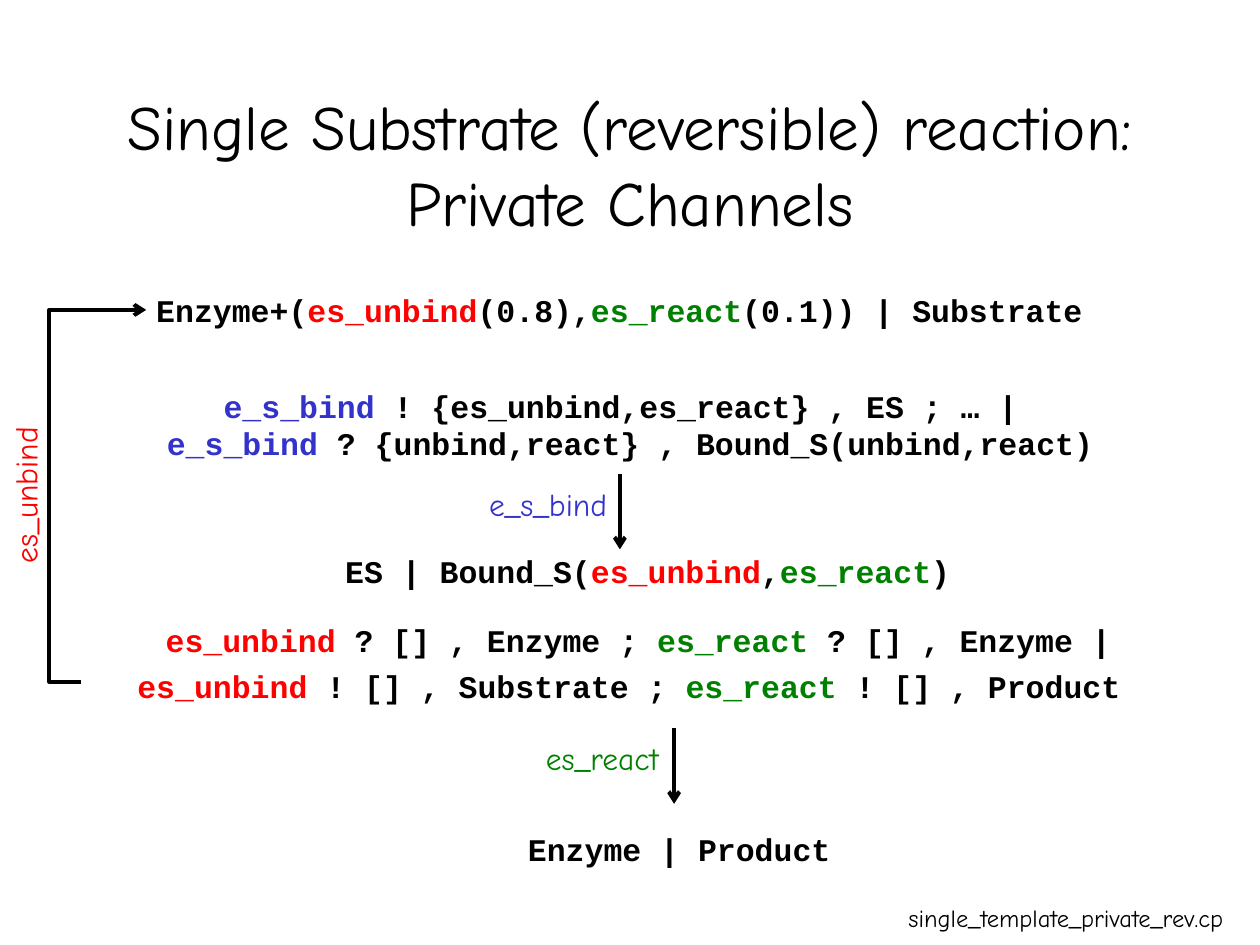
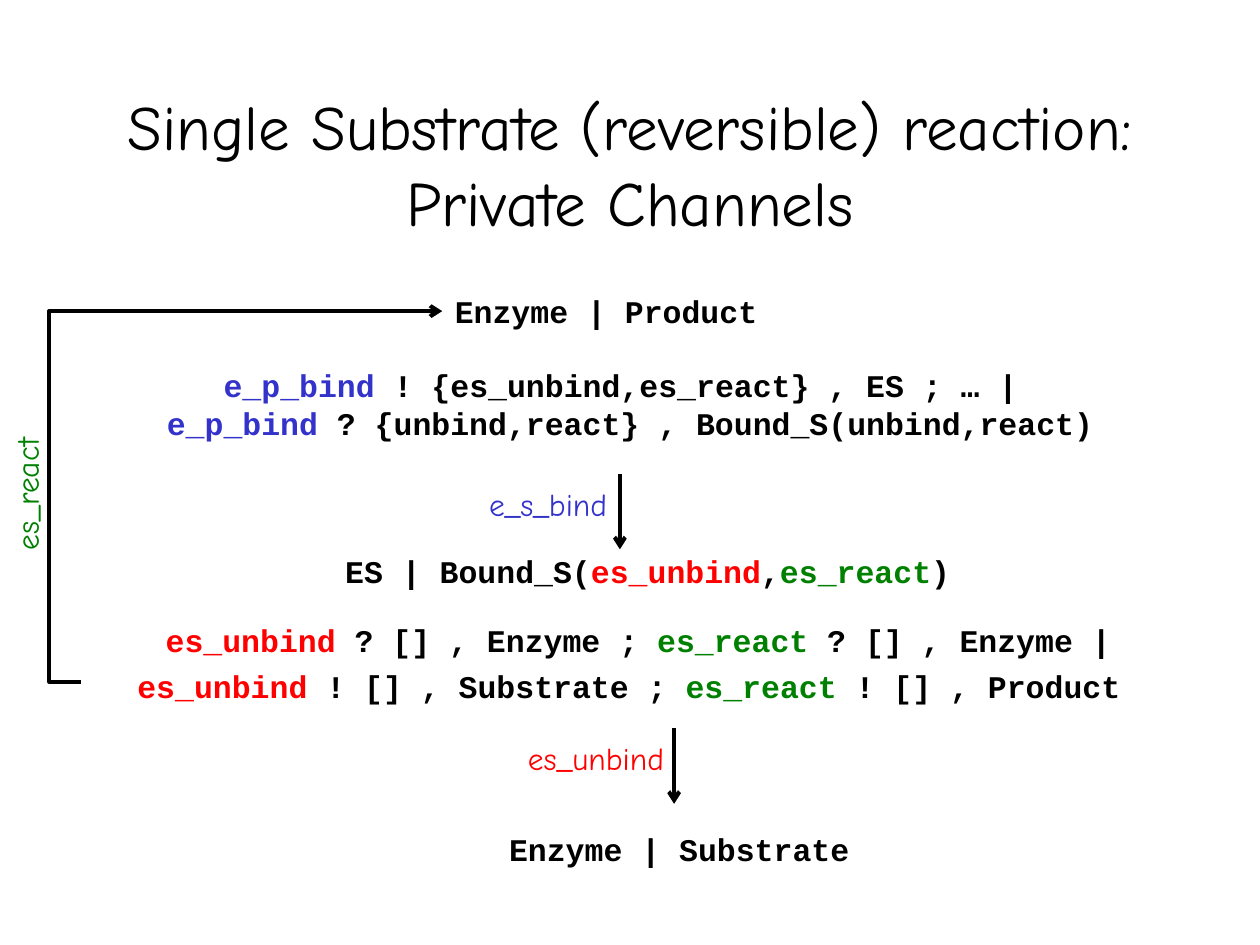
from lxml.etree import SubElement
from pptx import Presentation
from pptx.dml.color import RGBColor
from pptx.enum.shapes import MSO_CONNECTOR
from pptx.enum.text import MSO_ANCHOR, PP_ALIGN
from pptx.oxml.ns import qn
from pptx.util import Inches, Pt

BLACK = RGBColor(0x00, 0x00, 0x00)
RED = RGBColor(0xFF, 0x00, 0x00)
GREEN = RGBColor(0x00, 0x80, 0x00)
BLUE = RGBColor(0x33, 0x33, 0xCC)

HAND = "Comic Neue"
CODE = "Courier New"
TITLE = "Single Substrate (reversible) reaction: Private Channels"

UNBIND = ("es_unbind", RED)
REACT = ("es_react", GREEN)
BREAK = ("\n", BLACK)


def add_text(s, box, *paragraphs, font=HAND, size=18, wrap=False, gap=0):
    """Centred text; each paragraph is a list of (text, colour) runs."""
    shape = s.shapes.add_textbox(*map(Inches, box))
    tf = shape.text_frame
    tf.word_wrap = wrap
    for i, runs in enumerate(paragraphs):
        p = tf.paragraphs[0] if i == 0 else tf.add_paragraph()
        p.alignment = PP_ALIGN.CENTER
        if i:
            p.space_before = Pt(gap)
        for run in runs:
            if run == BREAK:
                p.add_line_break()
                continue
            r = p.add_run()
            r.text, r.font.color.rgb = run
            r.font.name = font
            r.font.size = Pt(size)
            r.font.bold = font == CODE
    return shape


def add_code(s, box, *paragraphs, **options):
    return add_text(s, box, *paragraphs, font=CODE, **options)


def add_arrow(s, kind, x1, y1, x2, y2):
    arrow = s.shapes.add_connector(kind, *map(Inches, (x1, y1, x2, y2)))
    arrow.line.color.rgb = BLACK
    arrow.line.width = Pt(2.25)
    SubElement(arrow.line._get_or_add_ln(), qn("a:tailEnd"), type="arrow")
    SubElement(arrow._element.spPr, qn("a:effectLst"))
    return arrow


def add_title(s):
    title = add_text(s, (0.75, 0.67, 8.5, 1.25), [(TITLE, BLACK)],
                     size=36, wrap=True)
    title.text_frame.vertical_anchor = MSO_ANCHOR.MIDDLE


def add_step(s, x, y, label, label_left, label_width):
    """Downward arrow with the channel name on its left."""
    add_arrow(s, MSO_CONNECTOR.STRAIGHT, x, y, x, y + 0.6)
    add_text(s, (label_left, y + 0.04, label_width, 0.4), [label])


def add_return(s, x, top, label, label_box):
    """Bent arrow from the bound state back up to the first state."""
    left, bottom, reach = 0.64, 5.41, 0.25
    arrow = add_arrow(s, MSO_CONNECTOR.ELBOW, left, bottom, x, top)
    guides = arrow._element.spPr.find(qn("a:prstGeom")).get_or_add_avLst()
    bend = round(-reach / (x - left) * 100000)
    SubElement(guides, qn("a:gd"), name="adj1", fmla=f"val {bend}")
    add_text(s, label_box, [label]).rotation = 270


def add_binding(s, top, channel):
    bind = (channel, BLUE)
    add_code(s, (0, top, 10, 0.7),
             [bind, (" ! {es_unbind,es_react} , ES ; … | ", BLACK), BREAK,
              bind, (" ? {unbind,react} , Bound_S(unbind,react)", BLACK)],
             wrap=True)


def add_bound_state(s):
    add_step(s, 4.92, 3.76, ("e_s_bind", BLUE), 3.78, 1.14)
    add_code(s, (0.14, 4.33, 10, 0.4),
             [("ES | Bound_S(", BLACK), UNBIND, (",", BLACK), REACT,
              (")", BLACK)], wrap=True)
    add_code(s, (0.64, 4.88, 8.85, 0.8),
             [UNBIND, (" ? [] , Enzyme ; ", BLACK),
              REACT, (" ? [] , Enzyme |", BLACK)],
             [UNBIND, (" ! [] , Substrate ; ", BLACK),
              REACT, (" ! [] , Product ", BLACK)],
             wrap=True, gap=4.5)


def add_forward_slide(prs):
    s = prs.slides.add_slide(prs.slide_layouts[6])
    add_title(s)
    # Source file name
    add_text(s, (7.1, 7.12, 2.72, 0.34),
             [("single_template_private_rev.cp", BLACK)], size=14)
    # Start state and binding
    add_code(s, (1.14, 2.26, 7.55, 0.4),
             [("Enzyme+(", BLACK), UNBIND, ("(0.8),", BLACK), REACT,
              ("(0.1)) | Substrate", BLACK)])
    add_binding(s, 3.02, "e_s_bind")
    add_bound_state(s)
    # Unbinding back, reacting onwards
    add_return(s, 1.16, 2.46, UNBIND, (-0.44, 3.73, 1.28, 0.4))
    add_step(s, 5.35, 5.78, REACT, 4.23, 1.1)
    add_code(s, (4.09, 6.54, 2.6, 0.4), [("Enzyme | Product", BLACK)])


def add_reverse_slide(prs):
    s = prs.slides.add_slide(prs.slide_layouts[6])
    add_title(s)
    # Start state and binding
    add_code(s, (3.51, 2.27, 2.6, 0.4), [("Enzyme | Product", BLACK)])
    add_binding(s, 2.86, "e_p_bind")
    add_bound_state(s)
    # Reacting back, unbinding onwards
    add_return(s, 3.51, 2.47, REACT, (-0.34, 3.72, 1.1, 0.4))
    add_step(s, 5.35, 5.78, UNBIND, 4.09, 1.28)
    add_code(s, (3.94, 6.54, 2.9, 0.4), [("Enzyme | Substrate", BLACK)])


def main():
    prs = Presentation()
    prs.slide_width, prs.slide_height = Inches(10), Inches(7.5)
    add_forward_slide(prs)
    add_reverse_slide(prs)
    prs.save("out.pptx")


if __name__ == "__main__":
    main()
